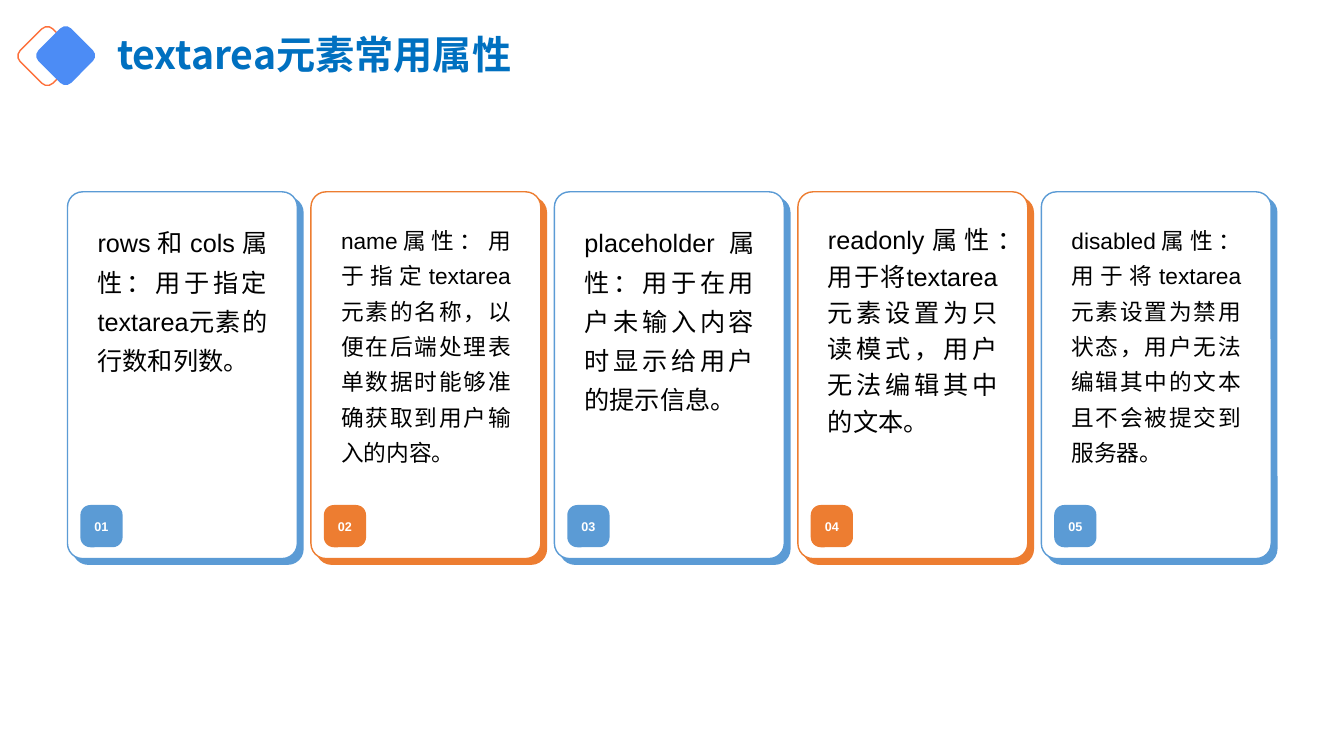
"""Builds the slide on common textarea attributes."""
from pptx import Presentation
from pptx.dml.color import RGBColor
from pptx.enum.shapes import MSO_SHAPE as Kind
from pptx.enum.text import MSO_ANCHOR as Anchor, PP_ALIGN as Align
from pptx.oxml.ns import qn
from pptx.util import Pt

TITLE = "textarea元素常用属性"
CARDS = [
    ("rows和cols属性：用于指定textarea元素的行数和列数。", 18, 1.3),
    ("name属性：用于指定textarea元素的名称，以便在后端处理表单数据时能够准确获取到用户输入的内容。", 16.2, 1.3),
    ("placeholder属性：用于在用户未输入内容时显示给用户的提示信息。", 18, 1.3),
    ("readonly属性：用于将textarea元素设置为只读模式，用户无法编辑其中的文本。", 18, 1.2),
    ("disabled属性：用于将textarea元素设置为禁用状态，用户无法编辑其中的文本且不会被提交到服务器。", 16.2, 1.3),
]

BLUE = RGBColor(0x5B, 0x9B, 0xD5)
ORANGE = RGBColor(0xED, 0x7D, 0x31)
CORAL = RGBColor(0xFD, 0x70, 0x3B)
AZURE = RGBColor(0x4C, 0x8C, 0xF5)
NAVY = RGBColor(0x00, 0x70, 0xC0)
WHITE = RGBColor(0xFF, 0xFF, 0xFF)
BLACK = RGBColor(0x00, 0x00, 0x00)

LEFT, TOP, STEP = 48.2, 137, 173.9
WIDE, HIGH, DROP = 164.2, 262, 4

deck = Presentation()
deck.slide_width, deck.slide_height = Pt(960), Pt(540)
slide = deck.slides.add_slide(deck.slide_layouts[6])


def block(x, y, w, h, fill=None, line=None, round=0.167, turn=0):
    part = slide.shapes.add_shape(Kind.ROUNDED_RECTANGLE, Pt(x), Pt(y), Pt(w), Pt(h))
    part.shadow.inherit = False
    part.adjustments[0] = round
    part.rotation = turn
    if fill is None:
        part.fill.background()
    else:
        part.fill.solid()
        part.fill.fore_color.rgb = fill
    if line is None:
        part.line.fill.background()
    else:
        part.line.color.rgb = line
        part.line.width = Pt(1)
    return part


def write(part, text, size, color, font="Arial", bold=False, align=Align.LEFT,
          anchor=Anchor.TOP, space=1.0, pad=None):
    frame = part.text_frame
    frame.word_wrap = True
    frame.vertical_anchor = anchor
    if pad is not None:
        frame.margin_left = frame.margin_right = Pt(pad)
    para = frame.paragraphs[0]
    para.alignment, para.line_spacing = align, space
    run = para.add_run()
    run.text = text
    run.font.size, run.font.bold, run.font.name = Pt(size), bold, font
    run.font.color.rgb = color
    face = run.font._element.makeelement(qn("a:ea"), {"typeface": font})
    run.font._element.append(face)


def box(x, y, w, h):
    return slide.shapes.add_textbox(Pt(x), Pt(y), Pt(w), Pt(h))


block(17.3, 23.6, 33, 33, line=CORAL, turn=45)
block(30.4, 23.3, 33, 33, fill=AZURE, turn=45)
write(box(76.5, 12, 369.5, 57), TITLE, 28, NAVY, font="Noto Sans CJK SC",
      bold=True, anchor=Anchor.MIDDLE, space=0.9)

for i, (text, size, space) in enumerate(CARDS):
    x = LEFT + i * STEP
    tint = ORANGE if i % 2 else BLUE
    block(x + DROP, TOP + DROP, WIDE, HIGH, fill=tint, line=tint, round=0.066)
    block(x, TOP, WIDE, HIGH, fill=WHITE, line=tint, round=0.066)
    write(box(x + 14.4, 152.6, 135.4, 204.5), text, size, BLACK,
          align=Align.JUSTIFY, space=space)
    badge = block(x + 9.2, 360.7, 30.2, 30.2, fill=tint, round=0.238)
    write(badge, f"{i + 1:02}", 9, WHITE, bold=True, align=Align.CENTER,
          anchor=Anchor.MIDDLE, pad=0)

deck.save("out.pptx")
